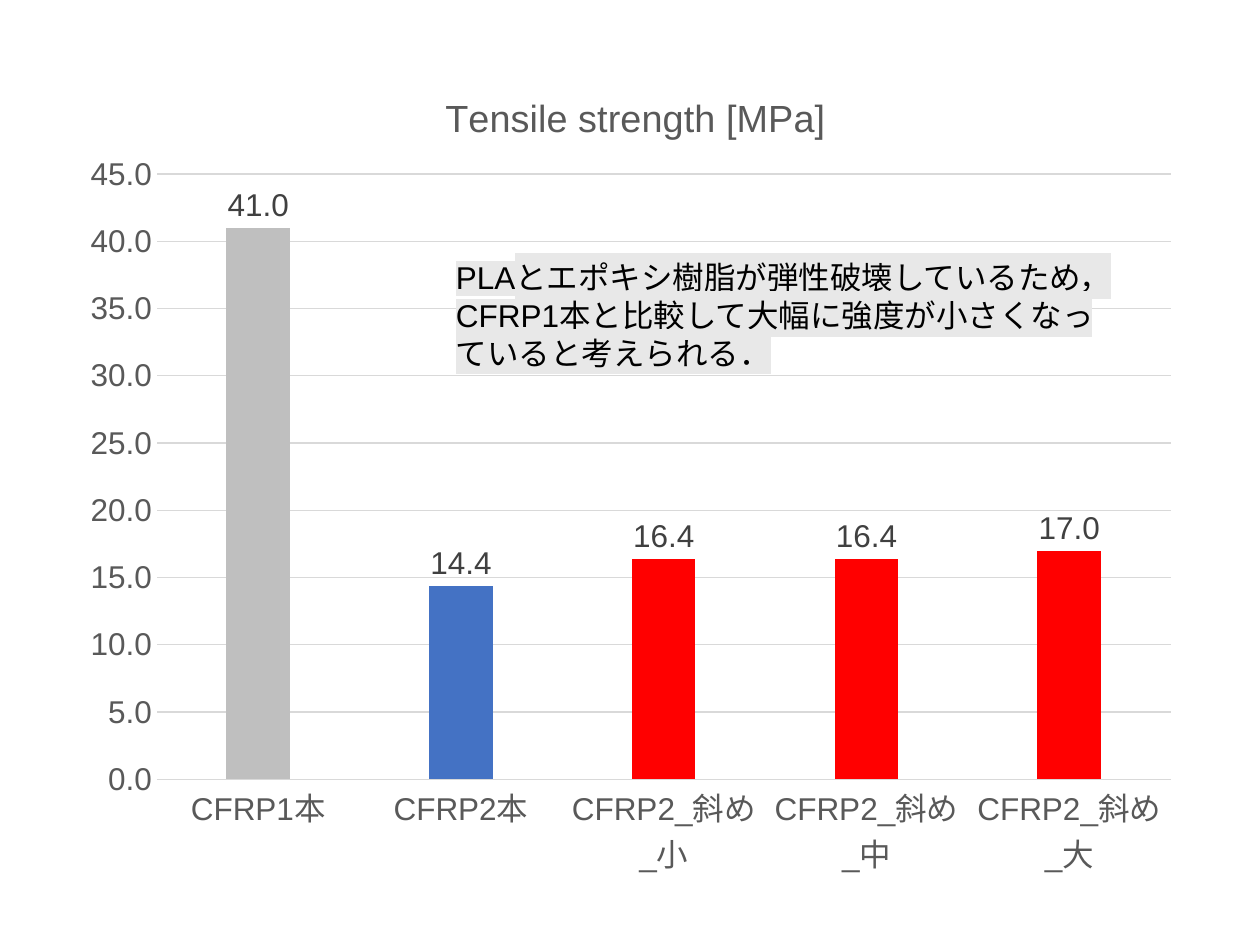
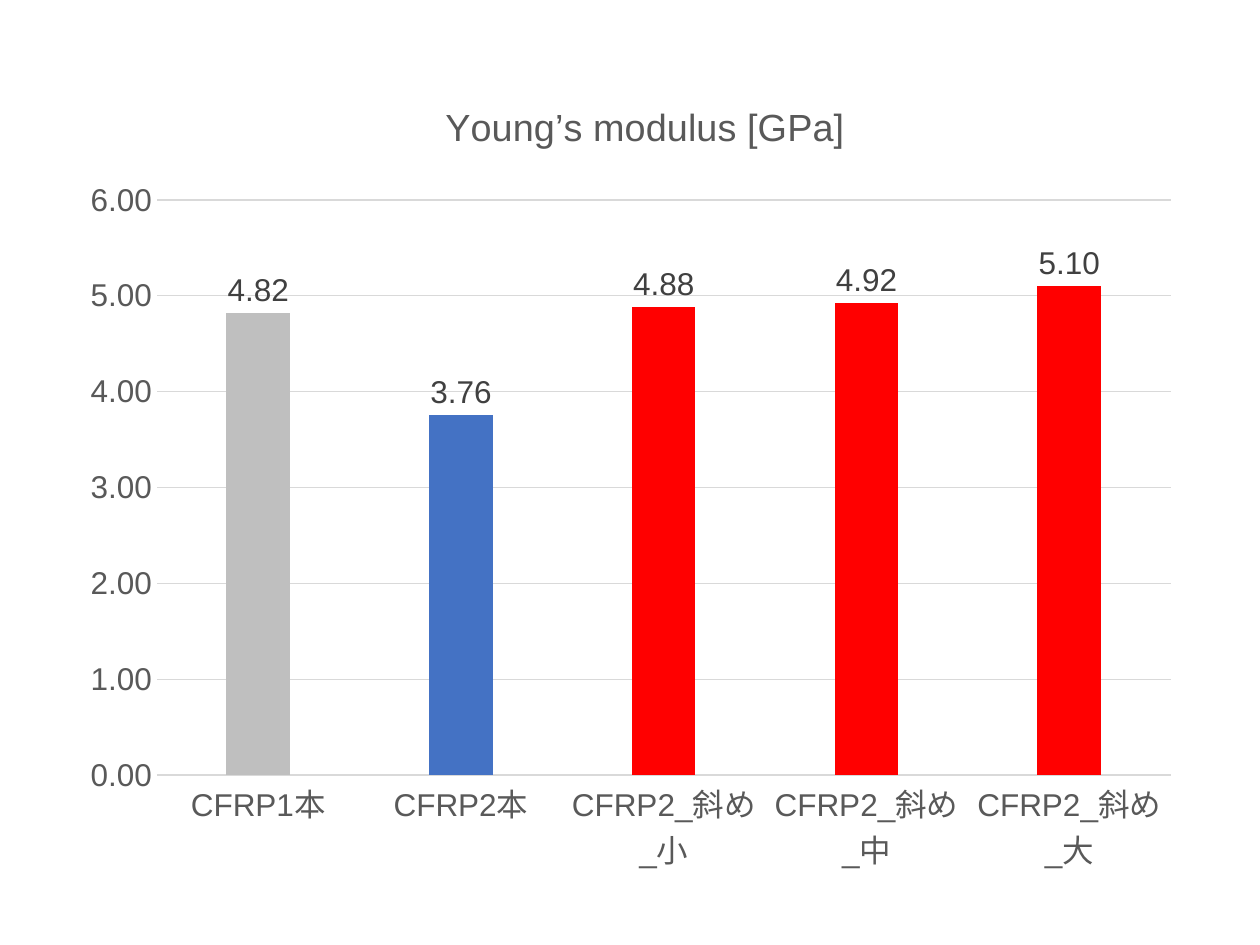
from dataclasses import dataclass

from lxml import etree
from pptx import Presentation
from pptx.chart.chart import Chart
from pptx.chart.data import CategoryChartData
from pptx.dml.color import RGBColor
from pptx.enum.chart import XL_CHART_TYPE, XL_LABEL_POSITION, XL_TICK_MARK
from pptx.enum.text import MSO_AUTO_SIZE
from pptx.oxml.ns import qn
from pptx.slide import Slide
from pptx.util import Inches, Pt

COLUMN_CLUSTERED = XL_CHART_TYPE.COLUMN_CLUSTERED
OUTSIDE_END = XL_LABEL_POSITION.OUTSIDE_END
NO_TICK = XL_TICK_MARK.NONE
FIT_SHAPE = MSO_AUTO_SIZE.SHAPE_TO_FIT_TEXT

COLORS = {
    "text": "000000",
    "axis": "595959",
    "label": "404040",
    "grid": "D9D9D9",
    "highlight": "E8E8E8",
    "single": "BFBFBF",
    "double": "4472C4",
    "diagonal": "FF0000",
}
FONT = "Arial"
BODY_SIZE = 18
TITLE_SIZE = 21.6
CHART_LEFT, CHART_WIDTH = 0.53, 8.94
SPECIMENS = {
    "CFRP1本": "single",
    "CFRP2本": "double",
    "CFRP2_斜め_小": "diagonal",
    "CFRP2_斜め_中": "diagonal",
    "CFRP2_斜め_大": "diagonal",
}
REMARKS = (
    "PLAとエポキシ樹脂が弾性破壊しているため，",
    "CFRP1本と比較して大幅に強度が小さくなっていると考えられる．",
)


@dataclass(frozen=True)
class Measurement:
    """One measured property and the place of its chart."""

    title: str
    values: tuple[float, ...]
    number_format: str
    maximum: float
    step: float
    top: float
    height: float
    title_position: dict[str, float]
    plot_position: dict[str, float]


MEASUREMENTS = (
    Measurement(
        "Tensile strength [MPa]", (41, 14.4, 16.4, 16.4, 17), "0.0", 45, 5, 0.49, 6.6,
        {"x": 0.33, "y": 0.03}, {"x": 0.08, "y": 0.135, "w": 0.9, "h": 0.728},
    ),
    Measurement(
        "Young’s modulus [GPa]", (4.82, 3.76, 4.88, 4.92, 5.1), "0.00", 6, 1, 0.7, 6.34,
        {"x": 0.33, "y": 0.01}, {"x": 0.08, "y": 0.14, "w": 0.9, "h": 0.72},
    ),
)


def rgb(color: str) -> RGBColor:
    """Look up a named colour."""
    return RGBColor.from_string(COLORS[color])


def style_font(font, color: str, size: float = BODY_SIZE) -> None:
    """Apply the shared typeface with a size and colour."""
    font.name = FONT
    font.size = Pt(size)
    font.bold = False
    font.color.rgb = rgb(color)


def write_text(paragraph, text: str, *, color: str = "text", size: float = BODY_SIZE,
               highlight: str | None = None) -> None:
    """Add a formatted run, highlighted if a colour is given."""
    run = paragraph.add_run()
    run.text = text
    style_font(run.font, color, size)
    if highlight:
        mark = etree.Element(qn("a:highlight"))
        etree.SubElement(mark, qn("a:srgbClr"), val=COLORS[highlight])
        run._r.get_or_add_rPr().find(qn("a:solidFill")).addnext(mark)


def set_layout(parent, index: int, position: dict[str, float], inner: bool = False) -> None:
    """Place a chart part by fractions of the chart area."""
    for existing in parent.findall(qn("c:layout")):
        parent.remove(existing)
    layout = etree.Element(qn("c:layout"))
    manual = etree.SubElement(layout, qn("c:manualLayout"))
    if inner:
        etree.SubElement(manual, qn("c:layoutTarget"), val="inner")
    for key in ("x", "y"):
        etree.SubElement(manual, qn(f"c:{key}Mode"), val="edge")
    for key, value in position.items():
        etree.SubElement(manual, qn(f"c:{key}"), val=str(value))
    parent.insert(index, layout)


def style_axes(chart: Chart, measurement: Measurement) -> None:
    """Format both axes and the gridlines."""
    value_axis, category_axis = chart.value_axis, chart.category_axis
    for axis in (value_axis, category_axis):
        axis.major_tick_mark = axis.minor_tick_mark = NO_TICK
        style_font(axis.tick_labels.font, "axis")
    value_axis.minimum_scale = 0
    value_axis.maximum_scale = measurement.maximum
    value_axis.major_unit = measurement.step
    value_axis.tick_labels.number_format = measurement.number_format
    value_axis.tick_labels.number_format_is_linked = False
    value_axis.format.line.fill.background()
    for line in (category_axis.format.line, value_axis.major_gridlines.format.line):
        line.color.rgb = rgb("grid")
        line.width = Pt(0.75)


def style_columns(chart: Chart, measurement: Measurement) -> None:
    """Colour the columns by specimen and label their values."""
    plot = chart.plots[0]
    plot.vary_by_categories = False
    plot.gap_width = 219
    plot.overlap = -27
    series = plot.series[0]
    series.format.fill.solid()
    series.format.fill.fore_color.rgb = rgb("double")
    for index, color in enumerate(SPECIMENS.values()):
        if color != "double":
            fill = series.points[index].format.fill
            fill.solid()
            fill.fore_color.rgb = rgb(color)
    labels = series.data_labels
    labels.show_value = True
    labels.position = OUTSIDE_END
    labels.number_format = measurement.number_format
    labels.number_format_is_linked = False
    style_font(labels.font, "label")


def add_measurement_chart(slide: Slide, measurement: Measurement) -> None:
    """Draw the column chart of one measurement."""
    data = CategoryChartData(number_format=measurement.number_format)
    data.categories = list(SPECIMENS)
    data.add_series("Series 1", measurement.values)
    chart = slide.shapes.add_chart(
        COLUMN_CLUSTERED, Inches(CHART_LEFT), Inches(measurement.top),
        Inches(CHART_WIDTH), Inches(measurement.height), data,
    ).chart
    style_font(chart.font, "text")
    chart.has_legend = False
    chart.has_title = True
    title = chart.chart_title
    write_text(title.text_frame.paragraphs[0], measurement.title, color="axis", size=TITLE_SIZE)
    title.include_in_layout = False
    set_layout(title.element, 1, measurement.title_position)
    plot_area = chart.element.find(f"{qn('c:chart')}/{qn('c:plotArea')}")
    set_layout(plot_area, 0, measurement.plot_position, inner=True)
    style_axes(chart, measurement)
    style_columns(chart, measurement)


def add_remarks(slide: Slide) -> None:
    """Add the highlighted explanation over the strength chart."""
    frame = slide.shapes.add_textbox(Inches(3.52), Inches(2), Inches(5.49), Inches(1.01)).text_frame
    frame.word_wrap = True
    frame.auto_size = FIT_SHAPE
    for index, remark in enumerate(REMARKS):
        paragraph = frame.add_paragraph() if index else frame.paragraphs[0]
        write_text(paragraph, remark, highlight="highlight")


def main() -> None:
    """Build and save the presentation."""
    presentation = Presentation()
    presentation.slide_width = Inches(10)
    presentation.slide_height = Inches(7.5)
    blank_layout = presentation.slide_layouts[6]
    slides = []
    for measurement in MEASUREMENTS:
        slide = presentation.slides.add_slide(blank_layout)
        add_measurement_chart(slide, measurement)
        slides.append(slide)
    add_remarks(slides[0])
    presentation.save("out.pptx")


if __name__ == "__main__":
    main()
